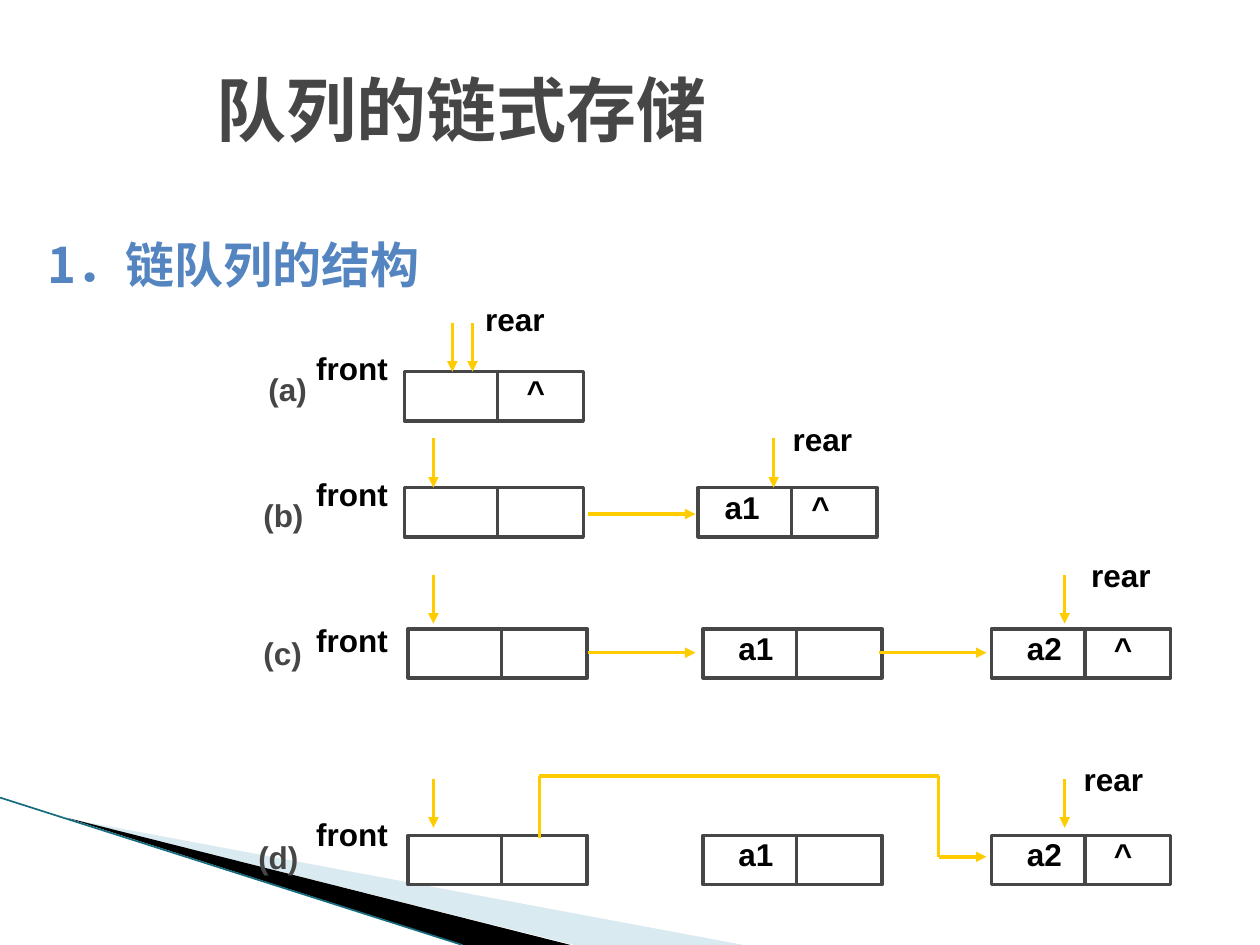
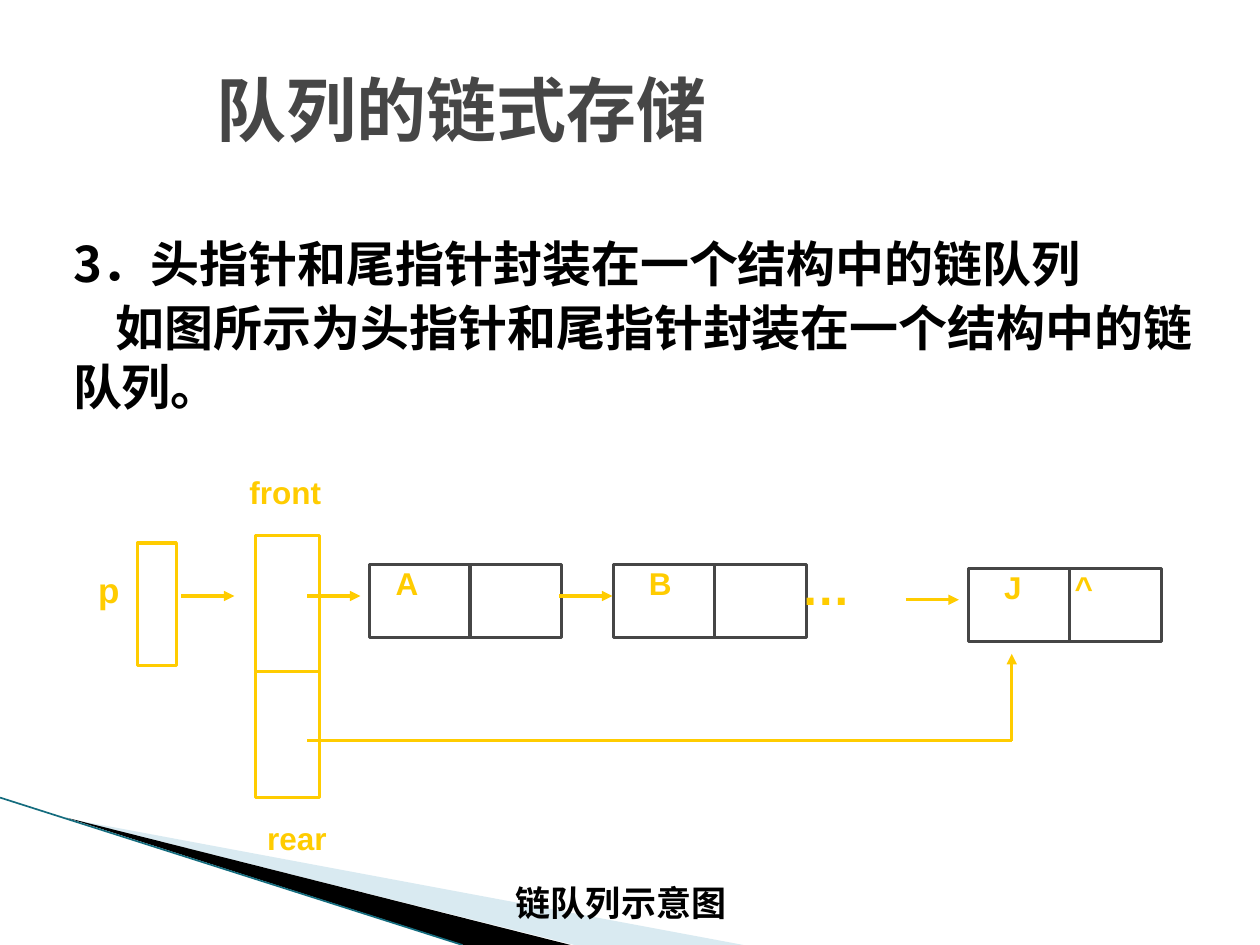
import pptx
import pptx.util
import pptx.dml.color
import pptx.enum.shapes
import pptx.enum.text
import pptx.oxml
import pptx.oxml.ns
import lxml.etree

Inches = pptx.util.Inches
Pt = pptx.util.Pt
rgb = pptx.dml.color.RGBColor.from_string
qn = pptx.oxml.ns.qn

GREY, GOLD, BLACK, BLUE = "464646", "FFCC00", "000000", "5485C0"
CJK = "Noto Sans CJK SC"


def add_line(slide, start, end, colour, weight, arrow=False):
    line = slide.shapes.add_connector(
        pptx.enum.shapes.MSO_CONNECTOR.STRAIGHT,
        *[Inches(value) for value in start + end])
    line.line.color.rgb = rgb(colour)
    line.line.width = Pt(weight)
    if arrow:
        lxml.etree.SubElement(line.line._get_or_add_ln(), qn("a:tailEnd"), type="triangle")
    lxml.etree.SubElement(line._element.spPr, qn("a:effectLst"))


def write(shape, text, colour, size=18, font="Arial", inset=0, line_height=None):
    frame = shape.text_frame
    frame.word_wrap = True
    frame.margin_left = Inches(inset)
    frame.margin_right = frame.margin_top = frame.margin_bottom = 0
    frame.text = text
    for paragraph in frame.paragraphs:
        paragraph.alignment = pptx.enum.text.PP_ALIGN.LEFT
        if line_height:
            paragraph.line_spacing = Pt(line_height)
        for run in paragraph.runs:
            run.font.size = Pt(size)
            run.font.bold = True
            run.font.name = font
            run.font.color.rgb = rgb(colour)
            if font != "Arial":
                lxml.etree.SubElement(run._r.get_or_add_rPr(), qn("a:ea"), typeface=CJK)
    return frame


deck = pptx.Presentation()
deck.slide_width, deck.slide_height = Inches(10), Inches(7.5)

bands = [
    ("D9EAF1", [(0.55, 6.5), (5.9, 7.5), (4.56, 7.5)]),
    (BLACK, [(0.53, 6.49), (4.53, 7.5), (3.68, 7.5)]),
]
slides = []
for _ in range(2):
    slide = deck.slides.add_slide(deck.slide_layouts[5])
    slides.append(slide)
    for colour, corners in bands:
        points = [(Inches(x), Inches(y)) for x, y in corners]
        outline = slide.shapes.build_freeform(*points[0])
        outline.add_line_segments(points[1:])
        band = outline.convert_to_shape()
        band.shadow.inherit = False
        band.fill.solid()
        band.fill.fore_color.rgb = rgb(colour)
        band.line.fill.background()
    add_line(slide, (0, 6.33), (3.67, 7.5), "146C7E", 0.95)

    title = slide.shapes.title
    title.left, title.top = Inches(1.5), Inches(0.36)
    title.width, title.height = Inches(8.5), Inches(1)
    write(title, "队列的链式存储", GREY, 40, "Courier New", inset=0.22)
    title.text_frame.vertical_anchor = pptx.enum.text.MSO_ANCHOR.MIDDLE

structure, wrapped = slides

row_a, row_b, row_c, row_d = 2.95, 3.87, 4.99, 6.63
nodes = [
    (3.21, row_a, "", "^", 0, 0.97),
    (3.21, row_b, "", "", 0, 0),
    (5.54, row_b, "a1", "^", 0.21, 0.9),
]
for row in (row_c, row_d):
    nodes += [
        (3.24, row, "", "", 0, 0),
        (5.58, row, "a1", "", 0.28, 0),
        (7.87, row, "a2", "^", 0.28, 0.97),
    ]
boxes = [(structure, x, y, 1.42, 0.39, 0.74, GREY, BLACK, 2, *content)
         for x, y, *content in nodes]
boxes += [(wrapped, x, y, 1.53, 0.58, 0.8, GREY, GOLD, 1.75, *content)
          for x, y, *content in [
              (2.93, 4.48, "A", "", 0.21, 0),
              (4.87, 4.48, "B", "", 0.28, 0),
              (7.69, 4.51, "J", "^", 0.28, 0.84)]]
boxes += [(wrapped, *frame, None, GOLD, GOLD, 1.75, "", "", 0, 0)
          for frame in [(2.03, 4.25, 0.51, 2.08), (1.09, 4.31, 0.31, 0.97)]]

for slide, x, y, width, height, divider, edge, ink, weight, data, link, data_x, link_x in boxes:
    node = slide.shapes.add_shape(
        pptx.enum.shapes.MSO_SHAPE.RECTANGLE,
        Inches(x), Inches(y), Inches(width), Inches(height))
    node.shadow.inherit = False
    node.fill.background()
    node.line.color.rgb = rgb(edge)
    node.line.width = Pt(weight)
    if divider:
        add_line(slide, (x + divider, y), (x + divider, y + height), edge, weight)
    if data or link:
        both = data and link
        frame = write(node, f"{data}\t{link}" if both else data or link, ink,
                      inset=data_x or link_x)
        frame.vertical_anchor = pptx.enum.text.MSO_ANCHOR.TOP
        if both:
            tabs = lxml.etree.SubElement(
                frame.paragraphs[0]._p.get_or_add_pPr(), qn("a:tabLst"))
            lxml.etree.SubElement(
                tabs, qn("a:tab"), pos=str(Inches(link_x - data_x)), algn="l")

pointers = [(3.59, 2.56), (3.75, 2.56), (3.44, 3.48), (6.14, 3.48),
            (3.44, 4.56), (8.45, 4.56), (3.44, 6.18), (8.45, 6.18)]
for x, y in pointers:
    add_line(structure, (x, y), (x, y + 0.39), GOLD, 2, True)
for x, y in [(4.67, 4.08), (4.67, 5.18), (6.98, 5.18)]:
    add_line(structure, (x, y), (x + 0.85, y), GOLD, 2, True)
bypass = [(4.28, 6.65), (4.28, 6.16), (7.45, 6.16), (7.45, 6.8), (7.83, 6.8)]
for start, end in zip(bypass, bypass[1:]):
    add_line(structure, start, end, GOLD, 2, end == bypass[-1])

for x, y in [(1.44, 4.73), (2.44, 4.73), (4.44, 4.73), (7.19, 4.76)]:
    add_line(wrapped, (x, y), (x + 0.42, y), GOLD, 1.75, True)
add_line(wrapped, (2.03, 5.33), (2.54, 5.33), GOLD, 1.75)
add_line(wrapped, (2.44, 5.88), (8.03, 5.88), GOLD, 1.75)
add_line(wrapped, (8.03, 5.88), (8.03, 5.19), GOLD, 1.75, True)

labels = [(structure, x, y, 0.76, text, GREY, 18) for text, x, y in [
    ("(a)", 2.13, 2.94), ("(b)", 2.09, 3.94), ("(c)", 2.09, 5.03), ("(d)", 2.05, 6.65)]]
labels += [(structure, 2.51, y, 0.85, "front", BLACK, 18) for y in (2.77, 3.77, 4.93, 6.47)]
labels += [(structure, x, y, 0.8, "rear", BLACK, 18) for x, y in [
    (3.85, 2.38), (6.29, 3.33), (8.66, 4.41), (8.6, 6.03)]]
labels += [
    (wrapped, 1.98, 3.75, 0.71, "front", GOLD, 18),
    (wrapped, 2.12, 6.5, 0.6, "rear", GOLD, 18),
    (wrapped, 0.78, 4.51, 0.23, "p", GOLD, 20),
    (wrapped, 6.36, 4.42, 0.83, "…", GOLD, 28),
]
for slide, x, y, width, text, colour, size in labels:
    label = slide.shapes.add_textbox(Inches(x), Inches(y), Inches(width), Inches(0.32))
    write(label, text, colour, size)

heading = structure.shapes.add_textbox(Inches(0.38), Inches(1.86), Inches(9.2), Inches(0.47))
write(heading, "1．链队列的结构", BLUE, 28, CJK, line_height=33.7)

explanation = wrapped.shapes.add_textbox(Inches(0.58), Inches(1.85), Inches(8.96), Inches(1.45))
lines = write(
    explanation,
    "3．头指针和尾指针封装在一个结构中的链队列\n"
    "如图所示为头指针和尾指针封装在一个结构中的链队列。",
    BLACK, 28, CJK, line_height=33.7).paragraphs
lines[1].space_before = Pt(3)
lines[1]._p.get_or_add_pPr().set("indent", str(Inches(0.34)))

caption = wrapped.shapes.add_textbox(Inches(3.18), Inches(7), Inches(3.5), Inches(0.34))
caption_text = write(caption, "链队列示意图", BLACK, 20, CJK, line_height=24)
caption_text.paragraphs[0].alignment = pptx.enum.text.PP_ALIGN.CENTER

deck.save("out.pptx")
